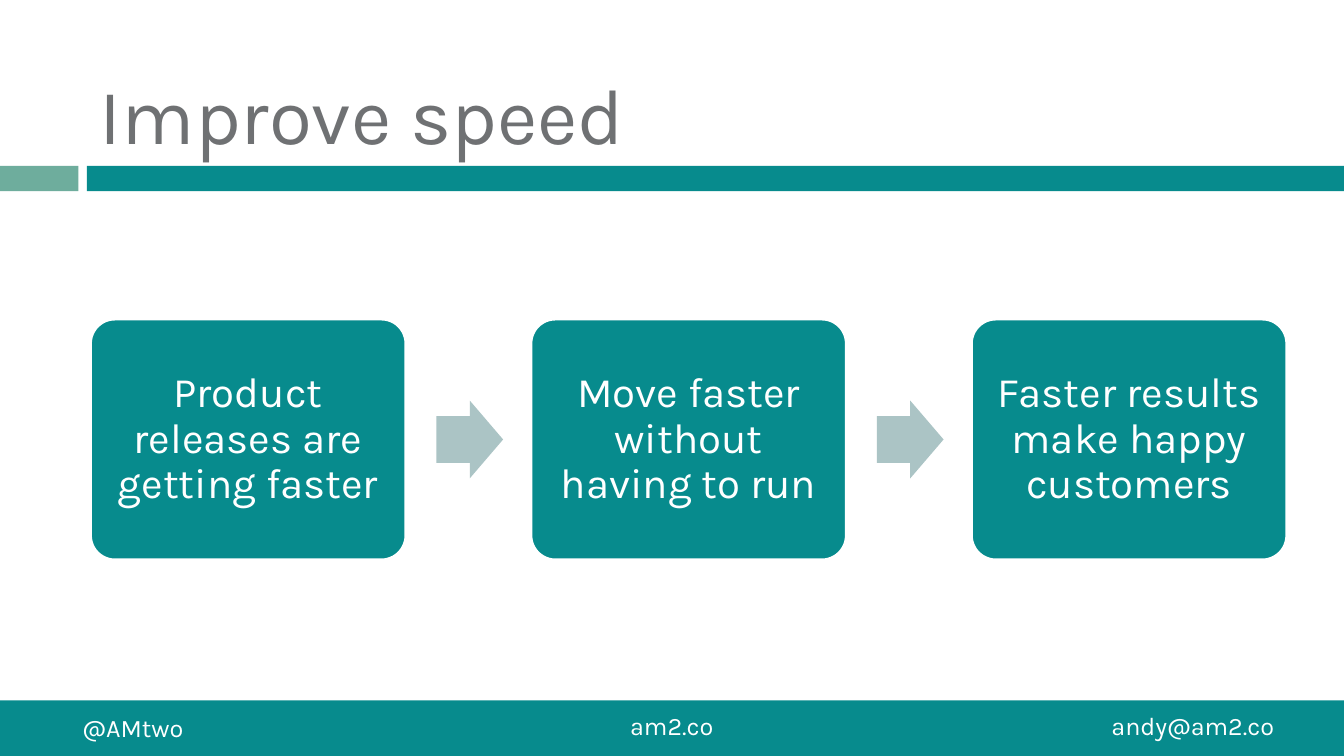
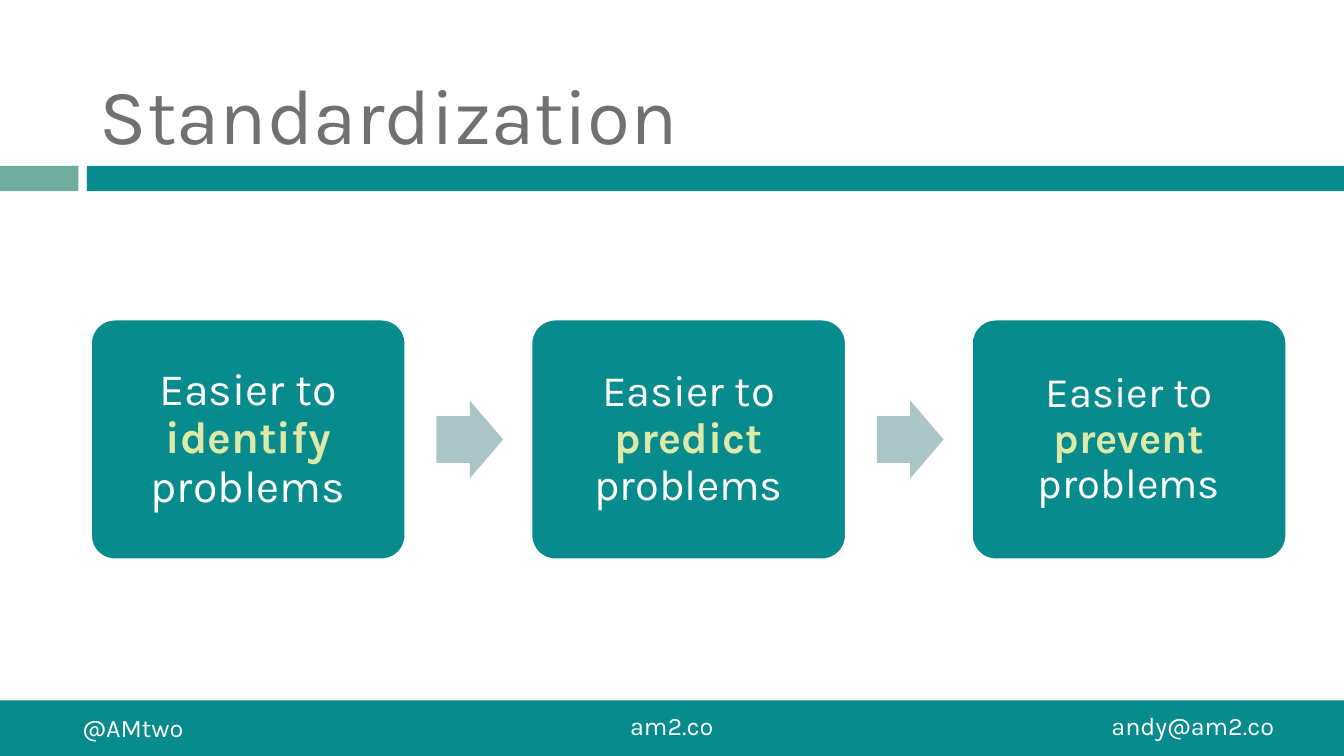
from dataclasses import dataclass

from pptx import Presentation
from pptx.dml.color import RGBColor
from pptx.enum.shapes import MSO_SHAPE
from pptx.enum.text import MSO_ANCHOR, MSO_AUTO_SIZE, PP_ALIGN
from pptx.shapes.autoshape import Shape
from pptx.slide import Slide
from pptx.util import Cm, Pt

FONT = "Karla"
COLORS = {
    "teal": "078B8D",
    "sage": "6EAD9D",
    "arrow": "ABC4C5",
    "title": "6F7173",
    "accent": "DCE9A8",
    "white": "FFFFFF",
}

# Lengths in centimetres
SLIDE_W, SLIDE_H = 33.87, 19.05
BAND_TOP, BAND_H = 4.18, 0.64
FOOTER_H = 1.4
CARD_LEFT, CARD_TOP, CARD_W, CARD_H = 2.29, 8.05, 7.93, 6.05
CARD_PITCH = 11.1
ARROW_OFFSET, ARROW_W, ARROW_H = 8.71, 1.68, 1.96


@dataclass(frozen=True)
class Box:
    left: float
    top: float
    width: float
    height: float


@dataclass(frozen=True)
class FooterText:
    text: str
    box: Box
    align: PP_ALIGN = PP_ALIGN.LEFT


@dataclass(frozen=True)
class Card:
    before: str
    accent: str = ""
    after: str = ""
    size: int = 30
    inset: float = 0.3


@dataclass(frozen=True)
class Steps:
    title: str
    cards: tuple[Card, ...]


BANDS = (
    (Box(0, BAND_TOP, 1.98, BAND_H), "sage"),
    (Box(2.19, BAND_TOP, SLIDE_W - 2.19, BAND_H), "teal"),
    (Box(0, SLIDE_H - FOOTER_H, SLIDE_W, FOOTER_H), "teal"),
)
FOOTER = (
    FooterText("@AMtwo", Box(1.83, 17.83, 3.3, 1.02)),
    FooterText("am2.co", Box(14.58, 17.78, 4.7, 1.02), PP_ALIGN.CENTER),
    FooterText("andy@am2.co", Box(27.76, 17.78, 4.9, 1.02)),
)
SLIDES = (
    Steps("Improve speed", (
        Card("Product releases are getting faster"),
        Card("Move faster without having to run"),
        Card("Faster results make happy customers"),
    )),
    Steps("Standardization", (
        Card("Easier to ", "identify", " problems", 32, 0.33),
        Card("Easier to ", "predict", " problems", 31, 0.33),
        Card("Easier to ", "prevent", " problems"),
    )),
)


def rgb(name: str) -> RGBColor:
    return RGBColor.from_string(COLORS[name])


def place(box: Box) -> tuple[Cm, Cm, Cm, Cm]:
    return Cm(box.left), Cm(box.top), Cm(box.width), Cm(box.height)


def style(p, size: int, color: str, align: PP_ALIGN) -> None:
    p.alignment = align
    p.font.name = FONT
    p.font.size = Pt(size)
    p.font.color.rgb = rgb(color)


def add_block(s: Slide, kind: MSO_SHAPE, box: Box, fill: str) -> Shape:
    sp = s.shapes.add_shape(kind, *place(box))
    sp.shadow.inherit = False
    sp.fill.solid()
    sp.fill.fore_color.rgb = rgb(fill)
    sp.line.fill.background()
    return sp


def add_frame(s: Slide) -> None:
    """Bands and footer found on every slide."""
    for box, fill in BANDS:
        add_block(s, MSO_SHAPE.RECTANGLE, box, fill)
    for item in FOOTER:
        tf = s.shapes.add_textbox(*place(item.box)).text_frame
        tf.word_wrap = True
        p = tf.paragraphs[0]
        p.text = item.text
        style(p, 18, "white", item.align)


def set_title(s: Slide, text: str) -> None:
    sp = s.shapes.title
    sp.left, sp.top, sp.width, sp.height = place(Box(2.26, 0.43, 30.2, 3.73))
    tf = sp.text_frame
    tf.auto_size = MSO_AUTO_SIZE.NONE
    tf.vertical_anchor = MSO_ANCHOR.BOTTOM
    p = tf.paragraphs[0]
    p.text = text
    style(p, 56, "title", PP_ALIGN.LEFT)


def add_card(s: Slide, card: Card, left: float) -> None:
    box = Box(left, CARD_TOP, CARD_W, CARD_H)
    sp = add_block(s, MSO_SHAPE.ROUNDED_RECTANGLE, box, "teal")
    sp.adjustments[0] = 0.1
    sp.line.color.rgb = rgb("white")
    sp.line.width = Pt(1.5)
    tf = sp.text_frame
    tf.word_wrap = True
    tf.vertical_anchor = MSO_ANCHOR.MIDDLE
    tf.margin_left = tf.margin_right = Cm(card.inset)
    tf.margin_top = tf.margin_bottom = Cm(card.inset)
    p = tf.paragraphs[0]
    p.line_spacing = 0.9
    style(p, card.size, "white", PP_ALIGN.CENTER)
    p.add_run().text = card.before
    if card.accent:
        r = p.add_run()
        r.text = card.accent
        r.font.bold = True
        r.font.color.rgb = rgb("accent")
        p.add_run().text = card.after


def add_arrow(s: Slide, left: float) -> None:
    top = CARD_TOP + (CARD_H - ARROW_H) / 2
    box = Box(left, top, ARROW_W, ARROW_H)
    sp = add_block(s, MSO_SHAPE.RIGHT_ARROW, box, "arrow")
    sp.adjustments[0] = 0.6
    sp.adjustments[1] = 0.5


def main() -> None:
    prs = Presentation()
    prs.slide_width, prs.slide_height = Cm(SLIDE_W), Cm(SLIDE_H)
    for steps in SLIDES:
        s = prs.slides.add_slide(prs.slide_layouts[5])
        add_frame(s)
        set_title(s, steps.title)
        # Cards in a row, with an arrow in each gap
        for i, card in enumerate(steps.cards):
            left = CARD_LEFT + i * CARD_PITCH
            add_card(s, card, left)
            if i < len(steps.cards) - 1:
                add_arrow(s, left + ARROW_OFFSET)
    prs.save("out.pptx")


if __name__ == "__main__":
    main()
